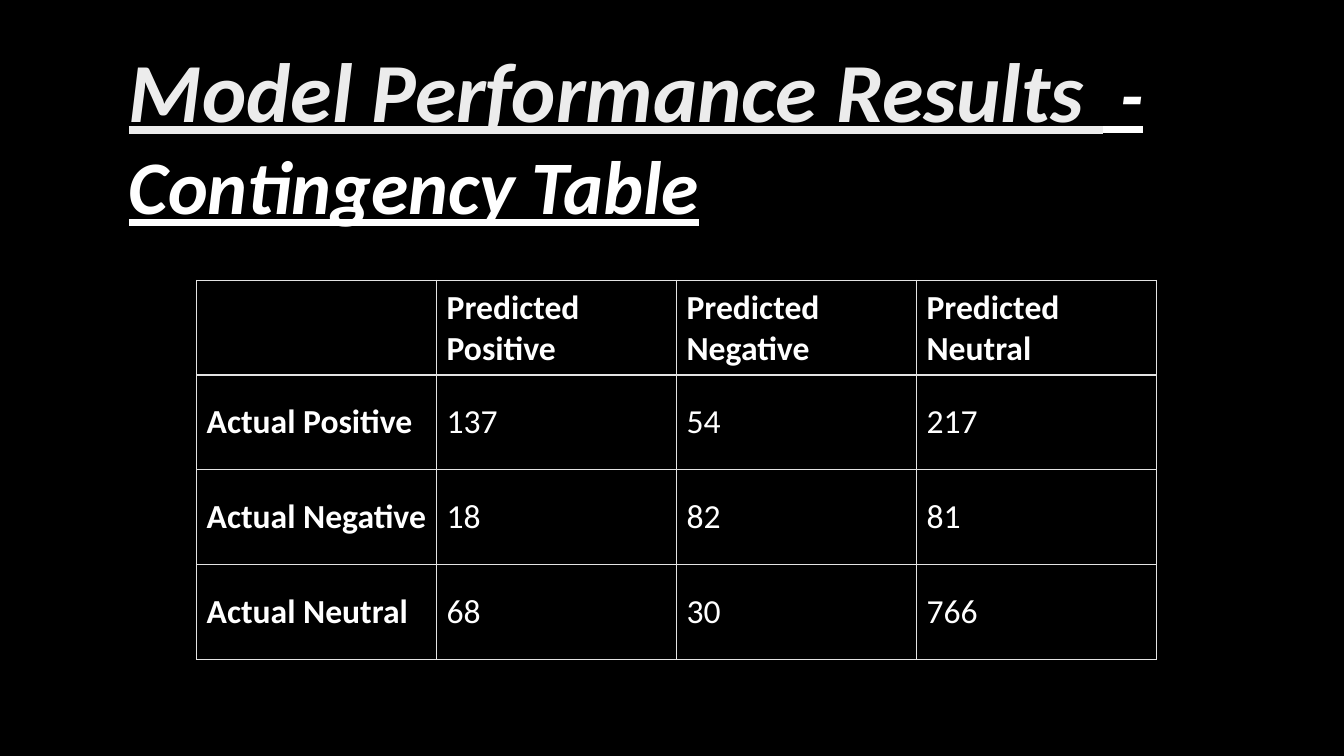
from pptx import Presentation
from pptx.util import Inches, Pt
from pptx.dml.color import RGBColor
from pptx.enum.text import MSO_ANCHOR
from pptx.oxml.ns import qn
from lxml.etree import SubElement

# Content
TITLE = [("Model Performance Results ", 60, "title"),
         (" - Contingency Table", 54, "text")]
ROWS = [
    ["", "Predicted Positive", "Predicted Negative", "Predicted Neutral"],
    ["Actual Positive", "137", "54", "217"],
    ["Actual Negative", "18", "82", "81"],
    ["Actual Neutral", "68", "30", "766"],
]
COLORS = {"back": "000000", "title": "ECECEC", "text": "FFFFFF", "line": "E3E3E3"}
FONT = "Calibri"
COL_W, ROW_H = 2.38, 0.94


def style(run, size, color, bold):
    font = run.font
    font.name, font.size, font.bold = FONT, Pt(size), bold
    font.color.rgb = RGBColor.from_string(COLORS[color])


def border(cell, widths):
    props = cell._tc.get_or_add_tcPr()
    for i, (side, width) in enumerate(widths.items()):
        line = SubElement(props, qn(f"a:ln{side}"), w=str(Pt(width)))
        fill = SubElement(line, qn("a:solidFill"))
        SubElement(fill, qn("a:srgbClr"), val=COLORS["line"])
        # Borders come before the fill in the cell properties
        props.insert(i, line)


deck = Presentation()
deck.slide_width, deck.slide_height = Inches(13.33), Inches(7.5)
slide = deck.slides.add_slide(deck.slide_layouts[6])
back = slide.background.fill
back.solid()
back.fore_color.rgb = RGBColor.from_string(COLORS["back"])

# Title
box = slide.shapes.add_textbox(Inches(1.18), Inches(0.33), Inches(11.06), Inches(2.02))
frame = box.text_frame
frame.word_wrap = True
for text, size, color in TITLE:
    run = frame.paragraphs[0].add_run()
    run.text = text
    style(run, size, color, True)
    run.font.italic = run.font.underline = True

# Contingency table
last = len(ROWS) - 1
table = slide.shapes.add_table(
    len(ROWS), len(ROWS[0]), Inches(1.95), Inches(2.78),
    Inches(COL_W * len(ROWS[0])), Inches(ROW_H * len(ROWS))).table
table.horz_banding = False
for col in table.columns:
    col.width = Inches(COL_W)
for r, row in enumerate(ROWS):
    table.rows[r].height = Inches(ROW_H)
    for c, text in enumerate(row):
        cell = table.cell(r, c)
        cell.fill.background()
        cell.vertical_anchor = MSO_ANCHOR.MIDDLE if r else MSO_ANCHOR.BOTTOM
        cell.text_frame.text = text
        for run in cell.text_frame.paragraphs[0].runs:
            style(run, 24, "text", r == 0 or c == 0)
        border(cell, {"L": 0.75, "R": 0.75,
                      "T": 1 if r else 0.75, "B": 1 if r < last else 0.75})

deck.save("out.pptx")
